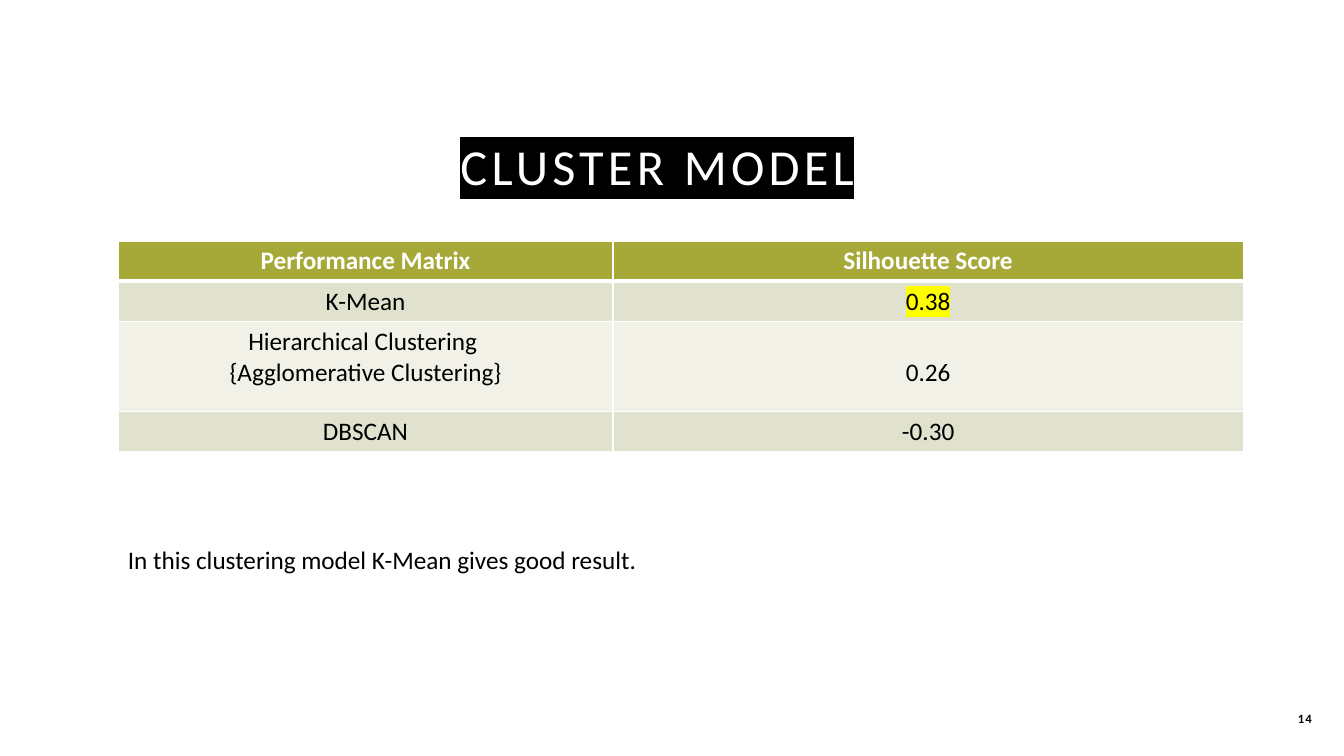
"""Build the cluster model slide with its table of silhouette scores."""
import pptx
import pptx.dml.color
import pptx.enum.text
import pptx.oxml
import pptx.oxml.ns
import pptx.util

COLORS = {"white": "FFFFFF", "black": "000000", "olive": "A6A938",
          "sage": "E1E2CE", "pale": "F1F1E8", "yellow": "FFFF00"}
ALIGN = pptx.enum.text.PP_ALIGN
ANCHOR = pptx.enum.text.MSO_ANCHOR

deck = pptx.Presentation()
deck.slide_width = pptx.util.Inches(13.33)
deck.slide_height = pptx.util.Inches(7.5)
page = deck.slides.add_slide(deck.slide_layouts[6])


def place(left, top, width, height):
    """Turn percentages of the slide's size into lengths."""
    across, down = deck.slide_width / 100, deck.slide_height / 100
    return [int(length) for length in (left * across, top * down, width * across, height * down)]


def write(para, text, size, color, align, bold=False, spacing=0, highlight=None):
    """Add one run to a paragraph."""
    para.alignment = align
    span = para.add_run()
    span.text = text
    span.font.size = pptx.util.Pt(size)
    span.font.bold = bold
    span.font.color.rgb = pptx.dml.color.RGBColor.from_string(COLORS[color])
    properties = span.font._element
    if spacing:
        properties.set("spc", str(spacing * 100))
    if highlight:
        properties.append(pptx.oxml.parse_xml(
            f'<a:highlight {pptx.oxml.ns.nsdecls("a")}>'
            f'<a:srgbClr val="{COLORS[highlight]}"/></a:highlight>'))
    span.font.name = "Calibri"


title = page.shapes.add_textbox(*place(5.33, 9.47, 87.17, 16.67)).text_frame
title.word_wrap = True
title.vertical_anchor = ANCHOR.BOTTOM
title.margin_bottom = pptx.util.Inches(0.02)
title.paragraphs[0].line_spacing = 1.2
write(title.paragraphs[0], "CLUSTER MODEL", 36, "white", ALIGN.CENTER, spacing=3, highlight="black")

scores = [
    ("Performance Matrix", "Silhouette Score"),
    ("K-Mean", "0.38"),
    ("Hierarchical Clustering \n{Agglomerative Clustering}", "0.26"),
    ("DBSCAN", "-0.30"),
]
row_fills = ["olive", "sage", "pale", "sage"]
row_shares = [5.33, 5.33, 11.87, 5.33]
column_shares = [0.44, 0.56]

table_box = place(8.78, 31.87, 83.72, sum(row_shares))
table = page.shapes.add_table(len(scores), len(column_shares), *table_box).table
for column, share in zip(table.columns, column_shares):
    column.width = int(table_box[2] * share)
for row, share in zip(table.rows, row_shares):
    row.height = int(deck.slide_height * share / 100)

for row_index, texts in enumerate(scores):
    header = row_index == 0
    for column_index, text in enumerate(texts):
        cell = table.cell(row_index, column_index)
        for side in "LRTB":
            thick = (header and side == "B") or (row_index == 1 and side == "T")
            cell._tc.get_or_add_tcPr().append(pptx.oxml.parse_xml(
                f'<a:ln{side} {pptx.oxml.ns.nsdecls("a")} w="{pptx.util.Pt(3 if thick else 1)}">'
                f'<a:solidFill><a:srgbClr val="{COLORS["white"]}"/></a:solidFill></a:ln{side}>'))
        cell.fill.solid()
        cell.fill.fore_color.rgb = pptx.dml.color.RGBColor.from_string(COLORS[row_fills[row_index]])
        for line_index, line in enumerate(text.split("\n")):
            para = cell.text_frame.add_paragraph() if line_index else cell.text_frame.paragraphs[0]
            write(para, line, 18, "white" if header else "black", ALIGN.CENTER, bold=header,
                  highlight="yellow" if line == "0.38" else None)
table.cell(2, 1).text_frame.paragraphs[0].line_spacing = 2.0

conclusion = page.shapes.add_textbox(*place(8.78, 71.33, 83.72, 5.33)).text_frame
conclusion.word_wrap = True
write(conclusion.paragraphs[0], "In this clustering model K-Mean gives good result.",
      18, "black", ALIGN.LEFT)

page_number = page.shapes.add_textbox(*place(93.92, 92.4, 4.43, 5.33)).text_frame
page_number.word_wrap = True
page_number.vertical_anchor = ANCHOR.MIDDLE
write(page_number.paragraphs[0], "14", 9, "black", ALIGN.RIGHT, bold=True, spacing=1)

deck.save("out.pptx")
